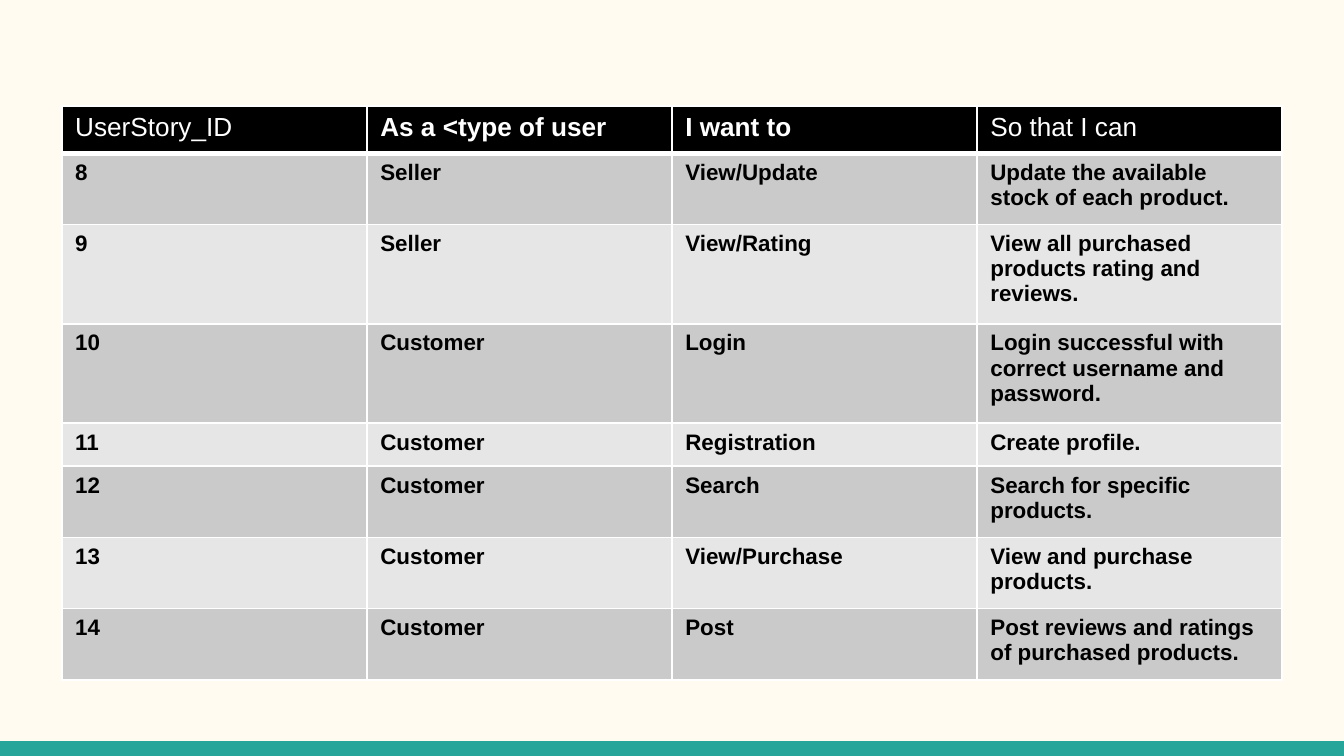
import pptx
import pptx.dml.color
import pptx.enum.shapes
import pptx.oxml.ns
import pptx.util
from lxml import etree
from pptx.util import Inches

WHITE, BLACK, TEAL, CREAM = "FFFFFF", "000000", "26A69A", "FFFBF0"
BANDS = ("CACACA", "E6E6E6")

SLIDE_W = 10
SLIDE_H = SLIDE_W * 9 / 16
BAR_H = 0.11

HEADER = ("UserStory_ID", "As a <type of user", "I want to", "So that I can")
BOLD_HEADERS = HEADER[1:3]
STORIES = [
    ("8", "Seller", "View/Update", "Update the available stock of each product."),
    ("9", "Seller", "View/Rating", "View all purchased products rating and reviews."),
    ("10", "Customer", "Login", "Login successful with correct username and password."),
    ("11", "Customer", "Registration", "Create profile."),
    ("12", "Customer", "Search", "Search for specific products."),
    ("13", "Customer", "View/Purchase", "View and purchase products."),
    ("14", "Customer", "Post", "Post reviews and ratings of purchased products."),
]
ROW_HEIGHTS = (0.35, 0.53, 0.74, 0.74, 0.32, 0.53, 0.53, 0.53)
COL_WIDTH = 2.27


def rgb(value):
    return pptx.dml.color.RGBColor.from_string(value)


class SlideBuilder:
    font = "Arial"

    def __init__(self, slide):
        self.s = slide

    def background(self, color):
        fill = self.s.background.fill
        fill.solid()
        fill.fore_color.rgb = rgb(color)

    def bar(self, x, y, w, h, color):
        sp = self.s.shapes.add_shape(pptx.enum.shapes.MSO_SHAPE.RECTANGLE,
                                     Inches(x), Inches(y), Inches(w), Inches(h))
        sp.shadow.inherit = False
        sp.fill.solid()
        sp.fill.fore_color.rgb = rgb(color)
        sp.line.fill.background()

    def border(self, cell, side, width, color):
        qn = pptx.oxml.ns.qn
        tc_pr = cell._tc.get_or_add_tcPr()
        ln = etree.SubElement(tc_pr, qn("a:ln" + side), w=str(pptx.util.Pt(width)))
        fill = etree.SubElement(ln, qn("a:solidFill"))
        etree.SubElement(fill, qn("a:srgbClr"), val=color)

    def cell(self, cell, text, size, color, fill, bold, top=1, bottom=1):
        # Borders must come before the fill in the cell properties
        for side, width in zip("LRTB", (1, 1, top, bottom)):
            self.border(cell, side, width, WHITE)
        cell.fill.solid()
        cell.fill.fore_color.rgb = rgb(fill)
        cell.text = text
        font = cell.text_frame.paragraphs[0].runs[0].font
        font.name, font.size, font.bold = self.font, pptx.util.Pt(size), bold
        font.color.rgb = rgb(color)

    def table(self, x, y, header, rows, col_width, heights):
        tbl = self.s.shapes.add_table(
            len(rows) + 1, len(header), Inches(x), Inches(y),
            Inches(col_width * len(header)), Inches(sum(heights))).table
        for col in tbl.columns:
            col.width = Inches(col_width)
        for row, height in zip(tbl.rows, heights):
            row.height = Inches(height)
        for c, text in enumerate(header):
            self.cell(tbl.cell(0, c), text, 14, WHITE, BLACK,
                      text in BOLD_HEADERS, bottom=3)
        for r, row in enumerate(rows, 1):
            for c, text in enumerate(row):
                self.cell(tbl.cell(r, c), text, 12, BLACK, BANDS[(r - 1) % 2],
                          True, top=3 if r == 1 else 1)


def main():
    prs = pptx.Presentation()
    prs.slide_width, prs.slide_height = Inches(SLIDE_W), Inches(SLIDE_H)
    builder = SlideBuilder(prs.slides.add_slide(prs.slide_layouts[6]))

    # Background and footer bar
    builder.background(CREAM)
    builder.bar(0, SLIDE_H - BAR_H, SLIDE_W, BAR_H, TEAL)

    # User stories
    builder.table(0.46, 0.79, HEADER, STORIES, COL_WIDTH, ROW_HEIGHTS)

    prs.save("out.pptx")


if __name__ == "__main__":
    main()
